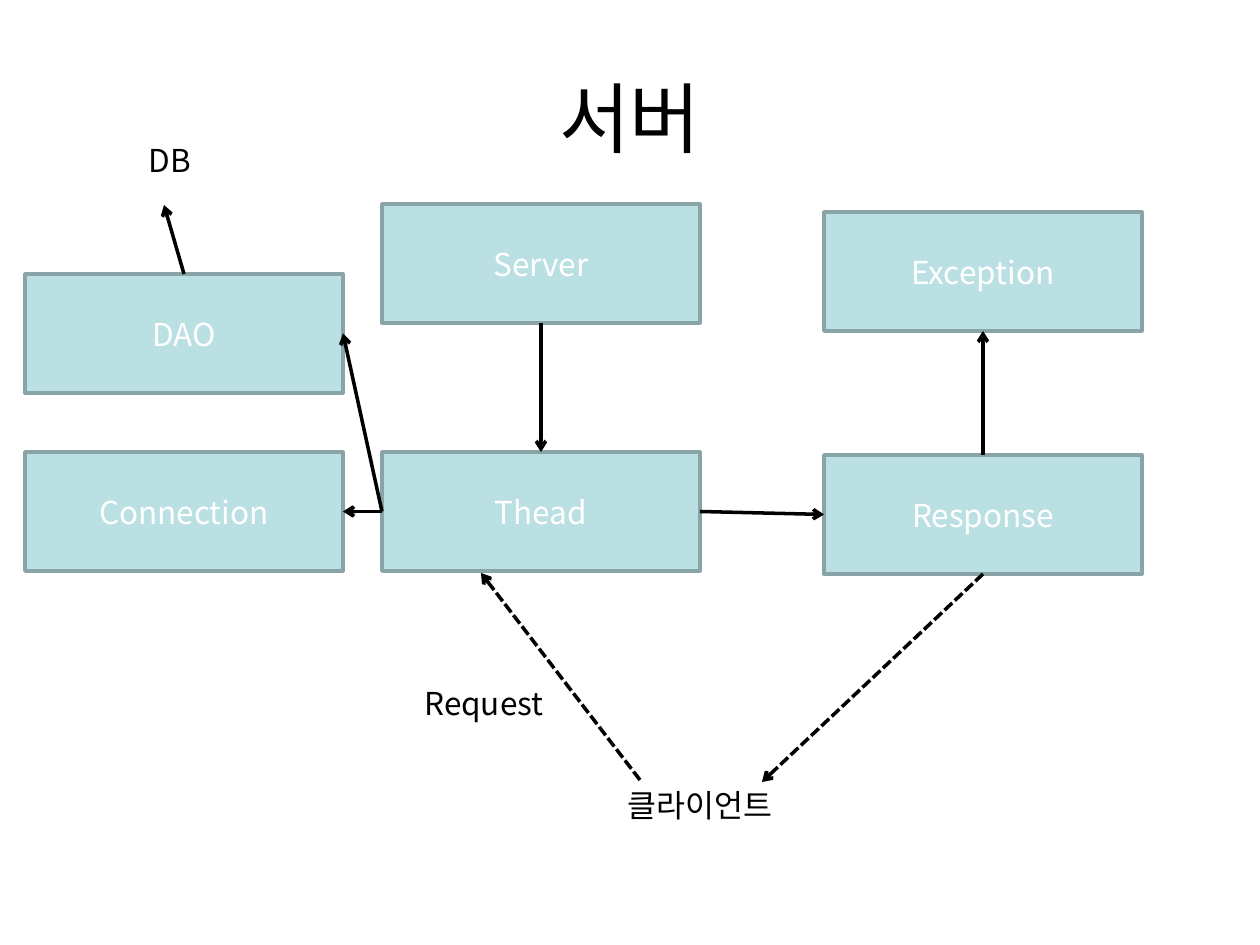
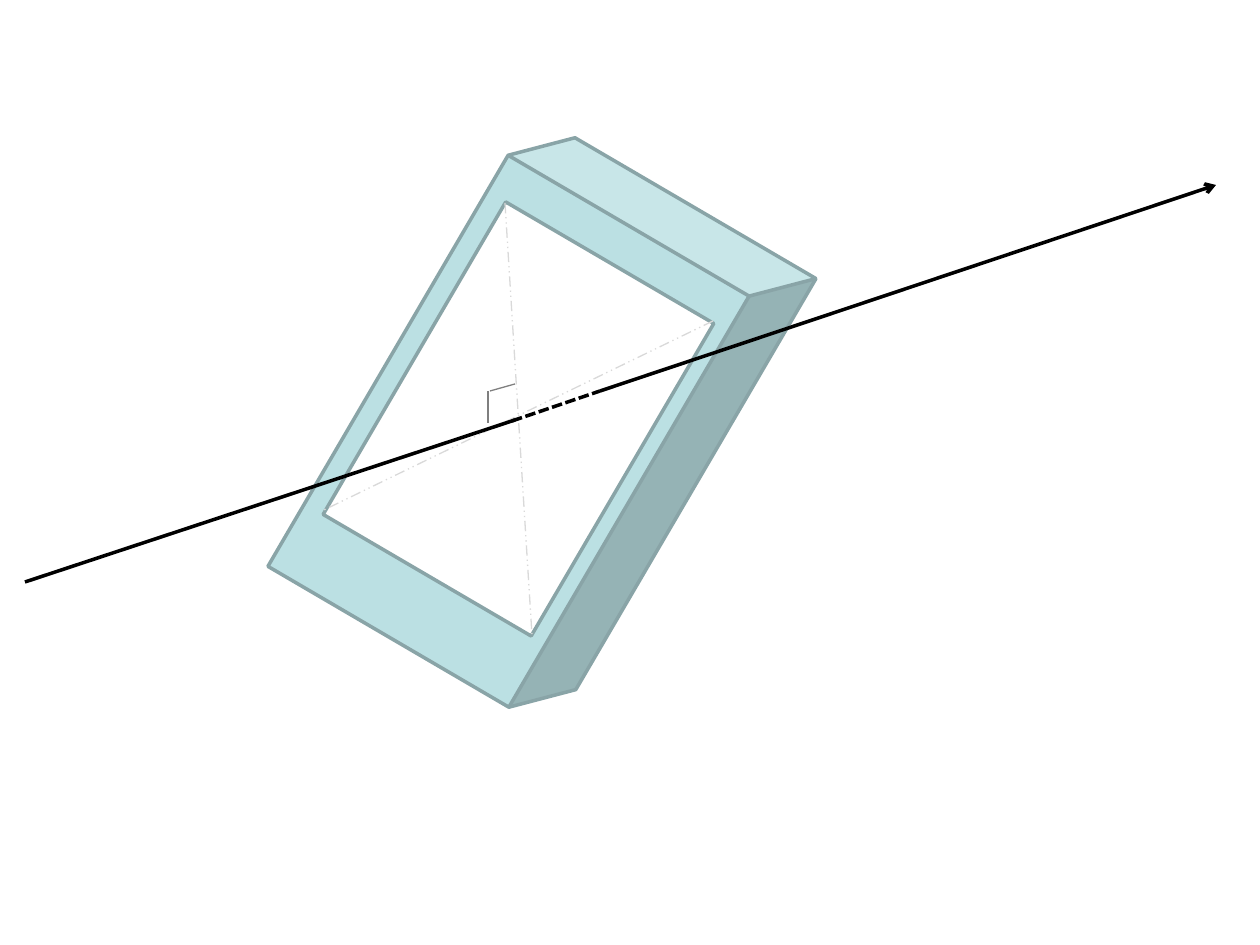
from lxml import etree
from pptx import Presentation
from pptx.dml.color import RGBColor
from pptx.enum.dml import MSO_LINE
from pptx.enum.shapes import MSO_CONNECTOR, MSO_SHAPE
from pptx.enum.text import MSO_ANCHOR, MSO_AUTO_SIZE, PP_ALIGN
from pptx.oxml.ns import qn
from pptx.util import Pt

PX = 914400 / 126
FONT = "Noto Sans CJK KR"
COLORS = {
    "ink": "000000",
    "paper": "FFFFFF",
    "fill": "BBE0E3",
    "edge": "89A4A7",
    "guide": "D9D9D9",
    "angle": "7F7F7F",
}
DASH = MSO_LINE.SQUARE_DOT
DASH_DOTS = MSO_LINE.DASH_DOT_DOT
STRAIGHT = MSO_CONNECTOR.STRAIGHT
RECT = MSO_SHAPE.RECTANGLE
CUBE = MSO_SHAPE.CUBE
TOP, LEFT, BOTTOM, RIGHT = range(4)
BOX_WIDTH, BOX_HEIGHT = 318, 119
TILT = 30.3


def emu(*lengths):
    return [round(length * PX) for length in lengths]


def rgb(name):
    return RGBColor.from_string(COLORS[name])


def write(frame, text, size, color):
    frame.text = text
    for span in frame.paragraphs[0].runs:
        font = span.font
        font.name = FONT
        font.size = Pt(size)
        font.color.rgb = rgb(color)
        east_asian = etree.SubElement(font._element, qn("a:ea"))
        east_asian.set("typeface", FONT)


def add_title(page, text):
    title = page.shapes.title
    title.left, title.top, title.width, title.height = emu(63, 38, 1134, 158)
    write(title.text_frame, text, 44, "ink")
    title.text_frame.vertical_anchor = MSO_ANCHOR.MIDDLE
    title.text_frame.paragraphs[0].alignment = PP_ALIGN.CENTER


def add_solid(shapes, kind, frame, fill="fill"):
    solid = shapes.add_shape(kind, *emu(*frame))
    solid.shadow.inherit = False
    solid.fill.solid()
    solid.fill.fore_color.rgb = rgb(fill)
    solid.line.color.rgb = rgb("edge")
    solid.line.width = Pt(2)
    return solid


def add_class_box(page, text, left, top):
    box = add_solid(page.shapes, RECT, (left, top, BOX_WIDTH, BOX_HEIGHT))
    write(box.text_frame, text, 18, "paper")
    box.text_frame.vertical_anchor = MSO_ANCHOR.MIDDLE
    box.text_frame.paragraphs[0].alignment = PP_ALIGN.CENTER
    return box


def add_label(page, text, left, top, width):
    label = page.shapes.add_textbox(*emu(left, top, width, 50))
    label.text_frame.word_wrap = False
    label.text_frame.auto_size = MSO_AUTO_SIZE.SHAPE_TO_FIT_TEXT
    write(label.text_frame, text, 18, "ink")


def add_line(shapes, start, end, color="ink", width=2, dash=None, arrow=False):
    line = shapes.add_connector(STRAIGHT, *emu(*start, *end))
    line.line.color.rgb = rgb(color)
    line.line.width = Pt(width)
    if dash is not None:
        line.line.dash_style = dash
    if arrow:
        outline = line.line._get_or_add_ln()
        etree.SubElement(outline, qn("a:tailEnd")).set("type", "arrow")
    etree.SubElement(line._element.spPr, qn("a:effectLst"))
    return line


def link(page, source, source_side, target, target_side):
    line = add_line(page.shapes, (0, 0), (1, 1), arrow=True)
    line.begin_connect(source, source_side)
    line.end_connect(target, target_side)


def build_server_page(deck):
    page = deck.slides.add_slide(deck.slide_layouts[5])
    add_title(page, "서버")

    left, middle, right = 25, 382, 824
    thread = add_class_box(page, "Thead", middle, 452)
    exception = add_class_box(page, "Exception", right, 212)
    response = add_class_box(page, "Response", right, 455)
    server = add_class_box(page, "Server", middle, 204)
    dao = add_class_box(page, "DAO", left, 274)
    connection = add_class_box(page, "Connection", left, 452)

    link(page, server, BOTTOM, thread, TOP)
    link(page, thread, LEFT, dao, RIGHT)
    link(page, thread, LEFT, connection, RIGHT)
    link(page, thread, RIGHT, response, LEFT)
    link(page, response, TOP, exception, BOTTOM)

    add_line(page.shapes, (184, 274), (164, 205), arrow=True)
    add_line(page.shapes, (983, 574), (762, 782), dash=DASH, arrow=True)
    add_line(page.shapes, (640, 780), (481, 573), dash=DASH, arrow=True)

    add_label(page, "클라이언트", 615, 780, 170)
    add_label(page, "Request", 412, 678, 145)
    add_label(page, "DB", 136, 135, 68)


def build_axis_page(deck):
    page = deck.slides.add_slide(deck.slide_layouts[6])

    device = page.shapes.add_group_shape().shapes
    body = add_solid(device, CUBE, (378, 160, 328, 525))
    body.adjustments[0] = 0.149
    screen = add_solid(device, RECT, (398, 238, 241, 362), "paper")
    body.rotation = screen.rotation = TILT
    for start, end in [((505, 203), (532, 635)), ((713, 321), (324, 510))]:
        add_line(device, start, end, "guide", 0.75, DASH_DOTS)

    axis_exit = (600, 391)
    add_line(page.shapes, (25, 582), (515, 420))
    add_line(page.shapes, (512, 421), axis_exit, dash=DASH)
    add_line(page.shapes, axis_exit, (1216, 185), arrow=True)

    right_angle = page.shapes.add_group_shape().shapes
    for start, end in [((488, 423), (488, 391)), ((515, 384), (490, 391))]:
        add_line(right_angle, start, end, "angle", 0.75)


def main():
    deck = Presentation()
    deck.slide_width, deck.slide_height = emu(1260, 945)
    build_server_page(deck)
    build_axis_page(deck)
    deck.save("out.pptx")


if __name__ == "__main__":
    main()
